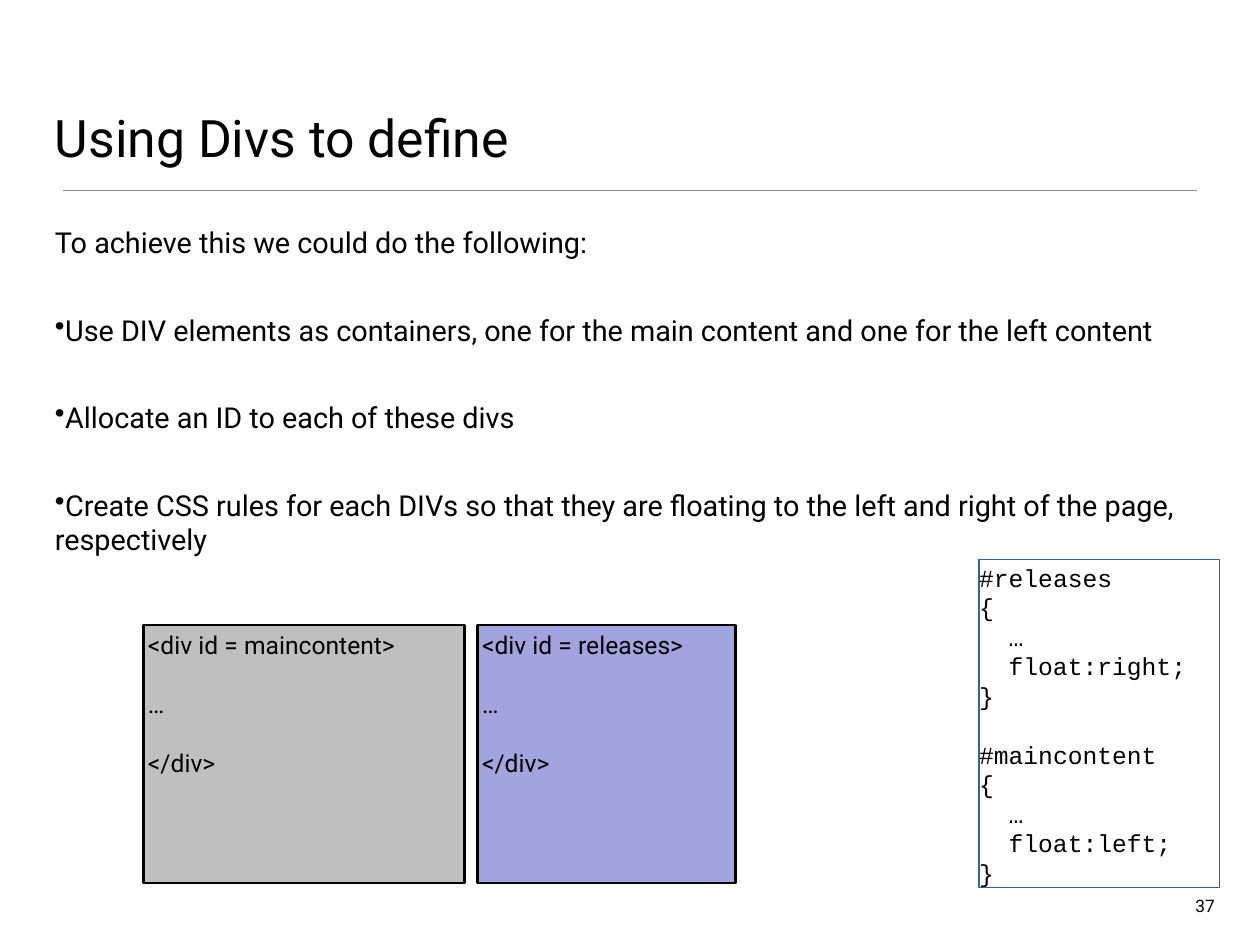
from lxml.etree import SubElement
from pptx import Presentation
from pptx.dml.color import RGBColor
from pptx.enum.shapes import MSO_CONNECTOR, MSO_SHAPE
from pptx.enum.text import MSO_ANCHOR as Anchor, PP_ALIGN as Align
from pptx.oxml.ns import qn
from pptx.util import Inches, Pt

COLORS = {
    "text": "000000",
    "rule": "888888",
    "main": "BFBFBF",
    "releases": "A3A3E0",
    "code": "FFFFFF",
    "code_border": "2F62A0",
}
CODE_LINE = 24


class SlideBuilder:
    font = "Roboto"
    code_font = "Courier New"

    def __init__(self, slide):
        self.slide = slide

    def color(self, name):
        return RGBColor.from_string(COLORS[name])

    def rule(self, left, right, y):
        line = self.slide.shapes.add_connector(
            MSO_CONNECTOR.STRAIGHT, Inches(left), Inches(y), Inches(right), Inches(y))
        line.line.color.rgb = self.color("rule")
        line.line.width = Pt(1)
        SubElement(line._element.spPr, qn("a:effectLst"))

    def set_text(self, shape, lines, size, font=None, inset=0, anchor=Anchor.TOP,
                 align=Align.LEFT, wrap=True):
        frame = shape.text_frame
        frame.word_wrap = wrap
        frame.vertical_anchor = anchor
        frame.margin_left = frame.margin_right = Inches(inset)
        frame.margin_top = frame.margin_bottom = Inches(inset)
        frame.text = "\n".join(lines)
        for paragraph in frame.paragraphs:
            paragraph.alignment = align
            paragraph.font.name = font or self.font
            paragraph.font.size = Pt(size)
            paragraph.font.color.rgb = self.color("text")
        return frame.paragraphs

    def text(self, box, lines, size, **style):
        shape = self.slide.shapes.add_textbox(*map(Inches, box))
        return self.set_text(shape, lines, size, **style)

    def panel(self, box, lines, fill, border, width, **style):
        shape = self.slide.shapes.add_shape(MSO_SHAPE.RECTANGLE, *map(Inches, box))
        shape.shadow.inherit = False
        shape.fill.solid()
        shape.fill.fore_color.rgb = self.color(fill)
        shape.line.color.rgb = self.color(border)
        shape.line.width = Pt(width)
        paragraphs = self.set_text(shape, lines, 20, **style)
        for paragraph in paragraphs:
            paragraph.line_spacing = Pt(CODE_LINE)
        return paragraphs

    def body(self, box, intro, bullets):
        paragraphs = self.text(box, [intro, *bullets], 23.4)
        for paragraph in paragraphs:
            paragraph.space_before = Pt(43)
        for paragraph in paragraphs[1:]:
            properties = paragraph._p.get_or_add_pPr()
            bullet = SubElement(properties, qn("a:buChar"), char="•")
            properties.insert_element_before(bullet, "a:defRPr")

    def div_panel(self, left, width, name, fill):
        lines = [f"<div id = {name}>", "…", "</div>"]
        paragraphs = self.panel((left, 7.06, width, 2.91), lines, fill, "text", 2, inset=0.05)
        for paragraph in paragraphs[1:]:
            paragraph.space_before = Pt(CODE_LINE)

    def css_panel(self, box, rules):
        lines = []
        for name, side in rules:
            lines += [f"#{name}", "{", "…", f"float:{side};", "}"]
        paragraphs = self.panel(box, lines, "code", "code_border", 1,
                                font=self.code_font, anchor=Anchor.BOTTOM)
        for index, paragraph in enumerate(paragraphs):
            if index % 5 in (2, 3):
                paragraph._p.get_or_add_pPr().set("marL", str(Pt(24)))
            if index and index % 5 == 0:
                paragraph.space_before = Pt(CODE_LINE)


def main():
    presentation = Presentation()
    presentation.slide_width = Inches(14.22)
    presentation.slide_height = Inches(10.67)
    builder = SlideBuilder(presentation.slides.add_slide(presentation.slide_layouts[6]))

    builder.rule(0.71, 13.51, 2.15)
    builder.text((13.43, 10.06, 0.33, 0.32), ["37"], 14, inset=0.05,
                 align=Align.RIGHT, wrap=False)
    builder.text((0.62, 0.36, 12.97, 1.53), ["Using Divs to define"], 42, anchor=Anchor.BOTTOM)
    builder.body((0.62, 2.54, 12.66, 4.24), "To achieve this we could do the following:", [
        "Use DIV elements as containers, one for the main content and one for the left content",
        "Allocate an ID to each of these divs",
        "Create CSS rules for each DIVs so that they are floating to the left and right "
        "of the page, respectively",
    ])
    builder.div_panel(5.39, 2.91, "releases", "releases")
    builder.div_panel(1.62, 3.62, "maincontent", "main")
    builder.css_panel((11.05, 6.32, 2.71, 3.7), [("releases", "right"), ("maincontent", "left")])

    presentation.save("out.pptx")


if __name__ == "__main__":
    main()
